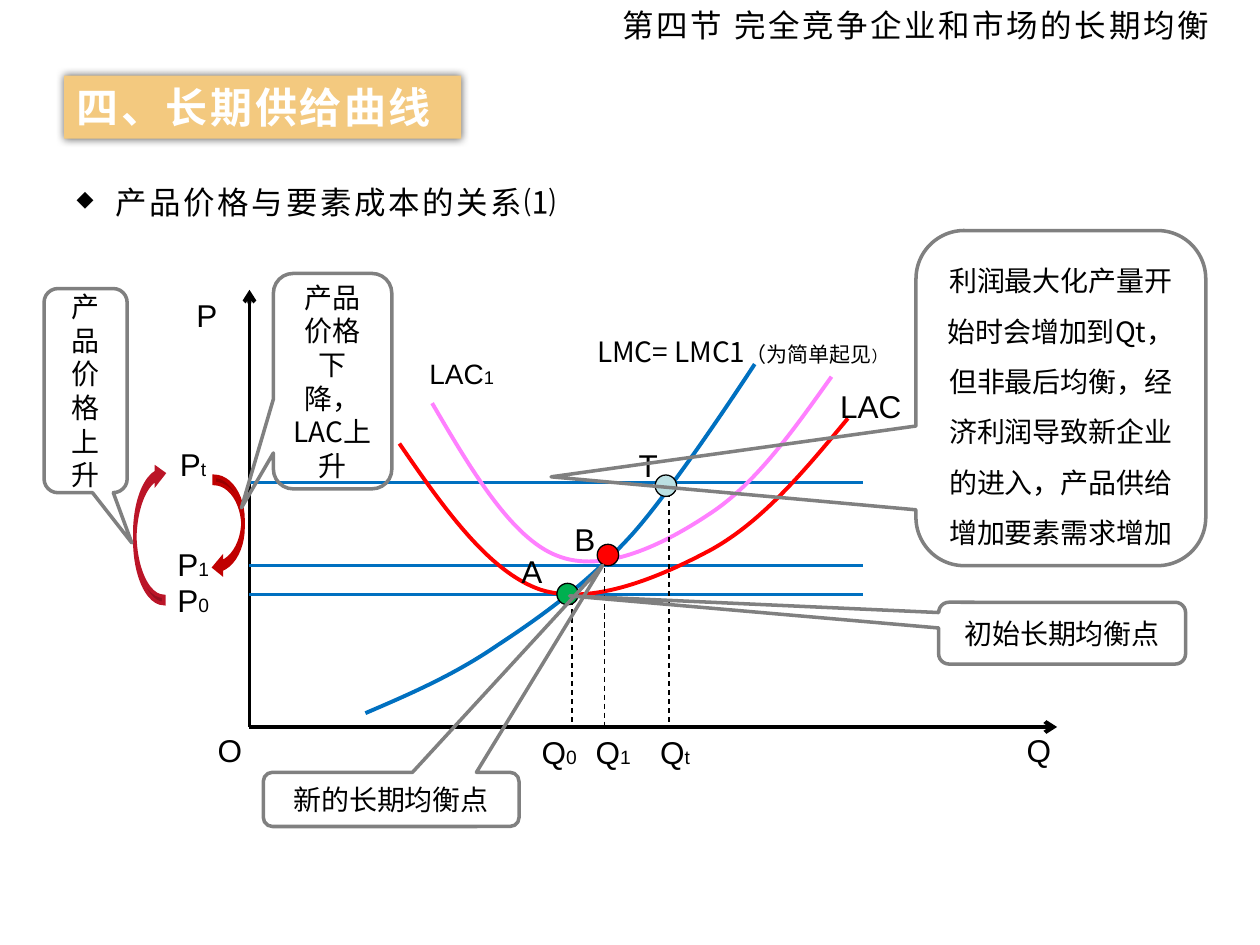
from lxml import etree
from pptx import Presentation
from pptx.dml.color import RGBColor
from pptx.enum.dml import MSO_LINE
from pptx.enum.shapes import MSO_CONNECTOR, MSO_SHAPE
from pptx.enum.text import MSO_ANCHOR, PP_ALIGN
from pptx.oxml.ns import qn
from pptx.util import Inches, Pt

STRAIGHT, DASH = MSO_CONNECTOR.STRAIGHT, MSO_LINE.DASH
RECT, OVAL = MSO_SHAPE.RECTANGLE, MSO_SHAPE.OVAL
CALLOUT, CURVED_ARROW = MSO_SHAPE.ROUNDED_RECTANGULAR_CALLOUT, MSO_SHAPE.CURVED_RIGHT_ARROW
MIDDLE, LEFT, CENTER = MSO_ANCHOR.MIDDLE, PP_ALIGN.LEFT, PP_ALIGN.CENTER
LATIN, CJK = "Arial", "Noto Sans CJK SC"
BLACK, WHITE, GREY, BLUE = "000000", "FFFFFF", "808080", "0070C0"

HEADER = "第四节 完全竞争企业和市场的长期均衡"
TITLE = "四、长期供给曲线"
TOPIC = "产品价格与要素成本的关系⑴"

ORIGIN_X, ORIGIN_Y = 1.98, 5.77
AXIS_TOP, AXIS_RIGHT, PRICE_RIGHT = 2.3, 8.39, 6.85
PRICE_LEVELS = [3.83, 4.49, 4.72]
QUANTITY_DROPS = [(5.31, 3.83), (4.8, 4.51), (4.54, 4.76)]

COST_CURVES = [
    (BLUE, [(2.9, 5.66), (3.25, 5.51), (3.6, 5.36), (3.95, 5.12), (4.3, 4.89),
            (4.66, 4.63), (5, 4.26), (5.34, 3.89), (5.99, 2.89), (5.99, 2.89)]),
    ("FF0000", [(3.17, 3.52), (3.52, 4.03), (3.88, 4.54), (4.29, 4.68), (4.7, 4.81),
                (5.24, 4.58), (5.65, 4.36), (6.06, 4.13), (6.39, 3.73), (6.73, 3.32)]),
    ("FF80FF", [(3.43, 3.2), (3.74, 3.73), (4.06, 4.27), (4.42, 4.41), (4.79, 4.56),
                (5.27, 4.32), (5.63, 4.08), (6, 3.84), (6.3, 3.41), (6.6, 2.99)]),
]

AXIS_LABELS = [
    ("P", "", 1.46, 2.3), ("O", "", 1.63, 5.75), ("Q", "", 8.05, 5.75),
    ("P", "t", 1.33, 3.48), ("P", "1", 1.31, 4.28), ("P", "0", 1.31, 4.56),
    ("Q", "0", 4.2, ORIGIN_Y), ("Q", "1", 4.63, ORIGIN_Y), ("Q", "t", 5.14, ORIGIN_Y),
    ("T", "", 4.97, 3.49), ("B", "", 4.46, 4.08), ("A", "", 4.04, 4.33),
]
CURVE_LABELS = [
    ((6.57, 3.02, 0.77, 0.44), [("LAC", 18, LATIN)]),
    ((3.31, 2.78, 1.11, 0.37), [("LAC", 16, LATIN), ("1", 10.5, LATIN)]),
    ((4.64, 2.61, 2.73, 0.37),
     [("LMC= LMC1", 16, CJK), ("（为简单起见", 12, CJK), ("）", 9, LATIN)]),
]

PRICE_ARROWS = [((1.07, 3.7, 0.23, 1.09), 180, "BB1528"), ((1.7, 3.78, 0.23, 0.78), 0, "C00000")]
DOT_SIZE = 0.17
EQUILIBRIA = [(4.42, 4.63, "00B050"), (5.2, 3.77, "BBE0E3"), (4.74, 4.32, "FF0000")]

NOTES = [
    ("初始长期均衡点", (7.45, 4.78, 1.96, 0.49), (-1.995, -0.604), 1),
    ("产品价格上升", (0.35, 2.29, 0.66, 1.62), (0.556, 0.746), 1),
    ("利润最大化产量开始时会增加到Qt，但非最后均衡，经济利润导致新企业的进入，产品供给增加要素需求增加",
     (7.27, 1.83, 2.3, 2.66), (-1.759, 0.235), 1.5),
    ("产品价格下降，LAC上升", (2.17, 2.17, 0.94, 1.71), (-0.77, 0.588), 1),
    ("新的长期均衡点", (2.09, 6.13, 2.03, 0.43), (0.827, -4.322), 1),
]


def rgb(color):
    return RGBColor.from_string(color)


def add_run(paragraph, text, size, face, color=BLACK, bold=False, spacing=0):
    run = paragraph.add_run()
    run.text = text
    font = run.font
    font.size, font.name, font.bold = Pt(size), face, bold
    font.color.rgb = rgb(color)
    properties = run._r.get_or_add_rPr()
    etree.SubElement(properties, qn("a:ea")).set("typeface", face)
    if spacing:
        properties.set("spc", str(int(spacing * 100)))


def add_text(slide, box, runs, wrap=True, spacing=0):
    frame = slide.shapes.add_textbox(*map(Inches, box)).text_frame
    frame.word_wrap = wrap
    for text, size, face in runs:
        add_run(frame.paragraphs[0], text, size, face, spacing=spacing)
    return frame.paragraphs[0]


def add_bullet(paragraph, mark, indent):
    properties = paragraph._p.get_or_add_pPr()
    properties.set("marL", str(Inches(indent)))
    properties.set("indent", str(-Inches(indent)))
    etree.SubElement(properties, qn("a:buSzPct")).set("val", "70000")
    etree.SubElement(properties, qn("a:buChar")).set("char", mark)


def add_shape(slide, kind, box, fill=None, line=None, width=2.0):
    shape = slide.shapes.add_shape(kind, *map(Inches, box))
    shape.shadow.inherit = False
    if fill:
        shape.fill.solid()
        shape.fill.fore_color.rgb = rgb(fill)
    else:
        shape.fill.background()
    if line:
        shape.line.color.rgb = rgb(line)
        shape.line.width = Pt(width)
    else:
        shape.line.fill.background()
    return shape


def add_line(slide, start, end, color, width, dash=None, arrow=False):
    line = slide.shapes.add_connector(STRAIGHT, *map(Inches, (*start, *end)))
    line.line.color.rgb = rgb(color)
    line.line.width = Pt(width)
    if dash:
        line.line.dash_style = dash
    if arrow:
        etree.SubElement(line.line._get_or_add_ln(), qn("a:tailEnd")).set("type", "arrow")
    etree.SubElement(line._element.spPr, qn("a:effectLst"))


def add_curve(slide, knots, color):
    start, *rest = [(Inches(x), Inches(y)) for x, y in knots]
    builder = slide.shapes.build_freeform(*start)
    builder.add_line_segments(rest, close=False)
    curve = builder.convert_to_shape()
    segments = list(curve._element.iter(qn("a:lnTo")))
    for first in range(0, len(segments), 3):
        bend = segments[first]
        bend.tag = qn("a:cubicBezTo")
        for segment in segments[first + 1:first + 3]:
            bend.append(segment[0])
            segment.getparent().remove(segment)
    curve.shadow.inherit = False
    curve.fill.background()
    curve.line.color.rgb = rgb(color)
    curve.line.width = Pt(2.25)


def add_headings(slide):
    banner = add_shape(slide, RECT, (0.51, 0.6, 3.15, 0.5), "F3C97F")
    glow = etree.SubElement(banner._element.spPr.find(qn("a:effectLst")), qn("a:outerShdw"),
                            blurRad=str(Pt(5)), dist="0", dir="0")
    shade = etree.SubElement(glow, qn("a:srgbClr"), val=BLACK)
    etree.SubElement(shade, qn("a:alpha"), val="60000")
    banner.text_frame.vertical_anchor = MIDDLE
    heading = banner.text_frame.paragraphs[0]
    heading.alignment = LEFT
    add_run(heading, TITLE, 24, CJK, WHITE, True, 1.5)
    add_text(slide, (4.84, 0, 5.04, 0.4), [(HEADER, 18, CJK)], False, 1.5)
    topic = add_text(slide, (0.51, 1.46, 4.07, 0.34), [(TOPIC, 18, CJK)], False, 1.5)
    topic.line_spacing = 0.8
    add_bullet(topic, "◆", 0.31)


def add_diagram(slide):
    origin = (ORIGIN_X, ORIGIN_Y)
    for end in [(ORIGIN_X, AXIS_TOP), (AXIS_RIGHT, ORIGIN_Y)]:
        add_line(slide, origin, end, BLACK, 2.25, arrow=True)
    for y in PRICE_LEVELS:
        add_line(slide, (ORIGIN_X, y), (PRICE_RIGHT, y), BLUE, 1.5)
    for color, knots in COST_CURVES:
        add_curve(slide, knots, color)
    for letter, index, x, y in AXIS_LABELS:
        runs = [(letter, 18, LATIN)] + ([(index, 11, LATIN)] if index else [])
        add_text(slide, (x, y, 0.6, 0.44), runs)
    for box, runs in CURVE_LABELS:
        add_text(slide, box, runs)
    for x, y in QUANTITY_DROPS:
        add_line(slide, (x, y), (x, ORIGIN_Y), BLACK, 0.75, dash=DASH)
    for box, turn, color in PRICE_ARROWS:
        arrow = add_shape(slide, CURVED_ARROW, box, color, color)
        arrow.rotation = turn
        arrow._element.spPr.xfrm.set("flipH", "1")
        etree.SubElement(arrow.line._get_or_add_ln(), qn("a:miter")).set("lim", "800000")
    for x, y, color in EQUILIBRIA:
        add_shape(slide, OVAL, (x, y, DOT_SIZE, DOT_SIZE), color, BLACK, 0.75)


def add_notes(slide):
    for text, box, tip, leading in NOTES:
        note = add_shape(slide, CALLOUT, box, line=GREY)
        note.adjustments[0], note.adjustments[1] = tip
        note.text_frame.word_wrap = True
        note.text_frame.vertical_anchor = MIDDLE
        paragraph = note.text_frame.paragraphs[0]
        paragraph.alignment, paragraph.line_spacing = CENTER, leading
        paragraph._p.get_or_add_pPr().set("hangingPunct", "0")
        add_run(paragraph, text, 16, CJK)


def main():
    """Build the long-run supply curve slide."""
    deck = Presentation()
    deck.slide_width, deck.slide_height = Inches(10), Inches(7.5)
    slide = deck.slides.add_slide(deck.slide_layouts[6])
    add_headings(slide)
    add_diagram(slide)
    add_notes(slide)
    deck.save("out.pptx")


if __name__ == "__main__":
    main()
